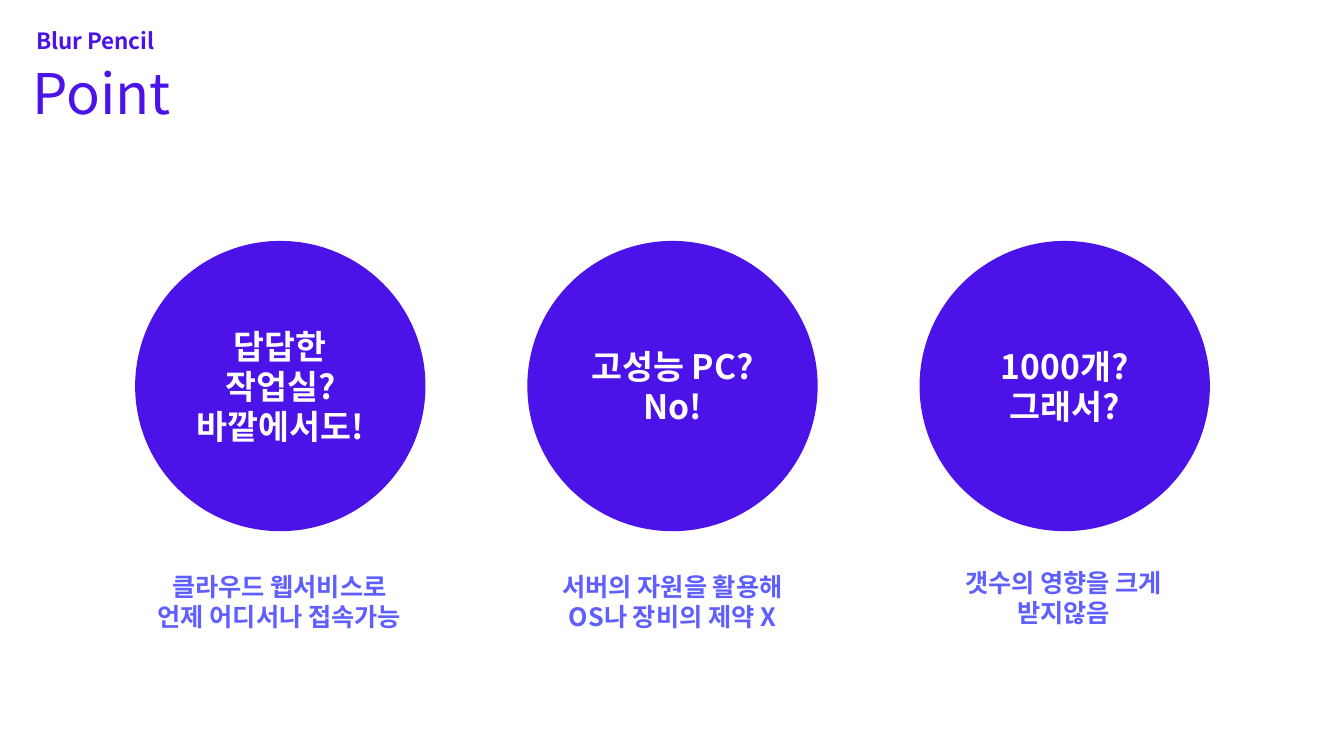
from pptx import Presentation
from pptx import util as u
from pptx.dml import color
from pptx.enum import shapes, text
from pptx.oxml import ns
from lxml import etree

VIOLET, LAVENDER, WHITE = "4B13E7", "5F5FFF", "FFFFFF"
KR, JP = "Noto Sans CJK KR", "Noto Sans CJK JP"


def rgb(value):
    return color.RGBColor.from_string(value)


def write(sp, lines, size, fill, align, anchor, bold=True, font=KR):
    tf = sp.text_frame
    tf.word_wrap = True
    tf.auto_size = text.MSO_AUTO_SIZE.NONE
    tf.vertical_anchor = anchor
    for i, line in enumerate(lines):
        p = tf.add_paragraph() if i else tf.paragraphs[0]
        p.alignment = align
        r = p.add_run()
        r.text = line
        r.font.size = u.Pt(size)
        r.font.bold = bold
        r.font.color.rgb = rgb(fill)
        r.font.name = font
        ea = etree.SubElement(r.font._element, ns.qn("a:ea"))
        ea.set("typeface", font)


LEFT, CENTER = text.PP_ALIGN.LEFT, text.PP_ALIGN.CENTER
TOP, MIDDLE = text.MSO_ANCHOR.TOP, text.MSO_ANCHOR.MIDDLE

prs = Presentation()
prs.slide_width = u.Inches(13.33)
prs.slide_height = u.Inches(7.5)
s = prs.slides.add_slide(prs.slide_layouts[5])

title = s.shapes.title
title.left, title.top = u.Inches(0.22), u.Inches(0.53)
title.width, title.height = u.Inches(6.45), u.Inches(0.77)
write(title, ["Point"], 40, VIOLET, LEFT, TOP, bold=False, font=JP)

project = s.shapes.add_textbox(u.Inches(0.26), u.Inches(0.22), u.Inches(3), u.Inches(0.37))
write(project, ["Blur Pencil"], 16, VIOLET, LEFT, TOP)

points = [
    (["답답한", "작업실?", "바깥에서도!"], ["클라우드 웹서비스로", "언제 어디서나 접속가능"], 1.27, 5.62),
    (["고성능 PC?", "No!"], ["서버의 자원을 활용해", "OS나 장비의 제약 X"], 5.17, 5.62),
    (["1000개?", "그래서?"], ["갯수의 영향을 크게", "받지않음"], 9.05, 5.58),
]
for i, (claim, detail, left, top) in enumerate(points):
    circle = s.shapes.add_shape(
        shapes.MSO_SHAPE.OVAL, u.Inches(1.34 + 3.89 * i), u.Inches(2.39), u.Inches(2.88), u.Inches(2.88)
    )
    circle.shadow.inherit = False
    circle.fill.solid()
    circle.fill.fore_color.rgb = rgb(VIOLET)
    circle.line.fill.background()
    write(circle, claim, 24, WHITE, CENTER, MIDDLE)

    caption = s.shapes.add_textbox(u.Inches(left), u.Inches(top), u.Inches(3), u.Inches(0.71))
    write(caption, detail, 18, LAVENDER, CENTER, TOP)

prs.save("out.pptx")
